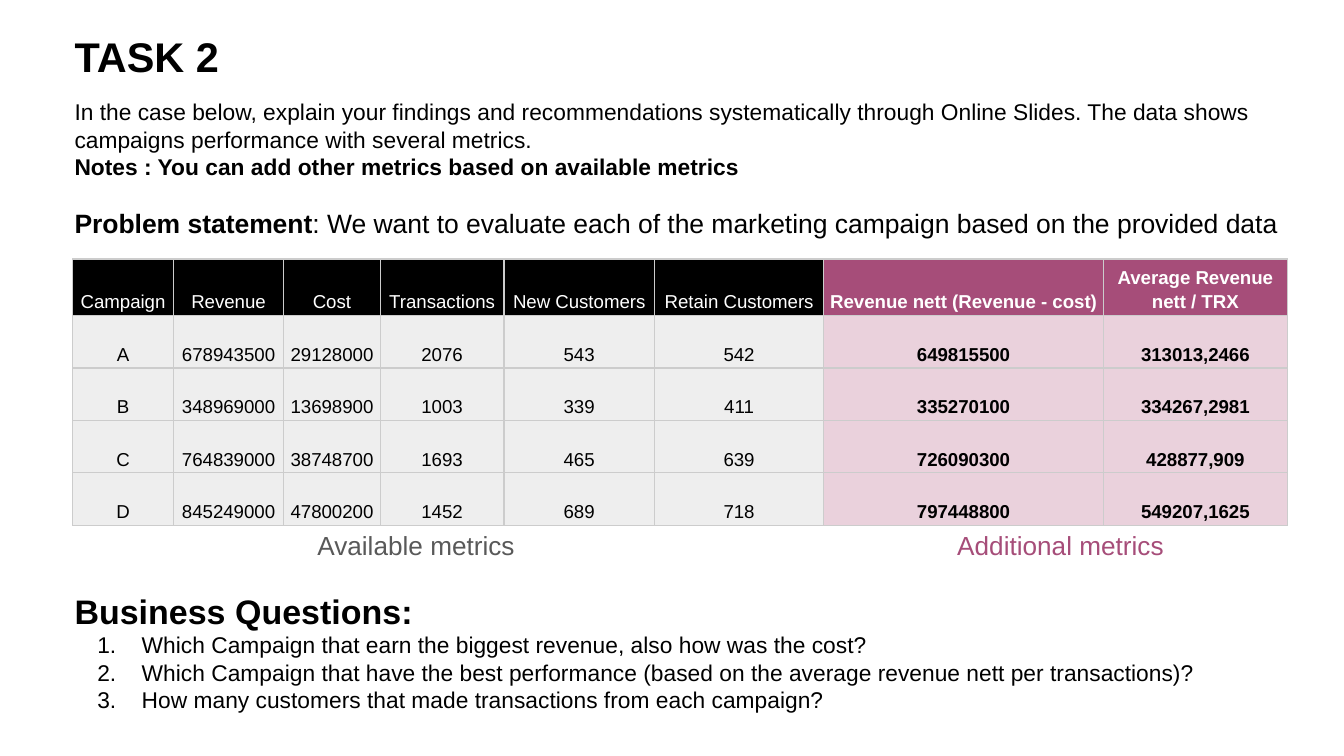
"""Build the TASK 2 slide: campaign metrics table with its questions."""
import dataclasses

import pptx
import pptx.dml.color
import pptx.enum.text
import pptx.oxml
import pptx.oxml.ns
import pptx.util
from lxml import etree


@dataclasses.dataclass(frozen=True)
class Theme:
    font: str = "Arial"
    ink: str = "000000"
    paper: str = "FFFFFF"
    muted: str = "595959"
    accent: str = "A64D79"
    accent_tint: str = "EAD1DC"
    cell: str = "EEEEEE"
    border: str = "CCCCCC"
    title: float = 22.2
    heading: float = 18.2
    statement: float = 14.2
    label: float = 14
    body: float = 12.2
    table: float = 10


THEME = Theme()
ALIGN = pptx.enum.text.PP_ALIGN
ANCHOR = pptx.enum.text.MSO_ANCHOR

TITLE = [[("TASK 2", True, THEME.title)]]
INTRO = [
    [("In the case below, explain your findings and recommendations systematically through "
      "Online Slides. The data shows campaigns performance with several metrics.",
      False, THEME.body)],
    [("Notes : You can add other metrics based on available metrics", True, THEME.body)],
]
STATEMENT = [[
    ("Problem statement", True, THEME.statement),
    (": We want to evaluate each of the marketing campaign based on the provided data",
     False, THEME.statement),
]]
QUESTIONS = [
    "Which Campaign that earn the biggest revenue, also how was the cost?",
    "Which Campaign that have the best performance "
    "(based on the average revenue nett per transactions)?",
    "How many customers that made transactions from each campaign?",
]
QUESTION_BLOCK = [[("Business Questions:", True, THEME.heading)]] + [
    [(question, False, THEME.body)] for question in QUESTIONS
]

AVAILABLE_COUNT = 6
COLUMN_SHARES = [7.5, 8.2, 7.2, 9.2, 11.2, 12.6, 20.8, 13.7]
ROW_SHARES = [7.47, 6.94, 6.94, 6.94, 6.94]
METRICS = [
    ["Campaign", "Revenue", "Cost", "Transactions", "New Customers", "Retain Customers",
     "Revenue nett (Revenue - cost)", "Average Revenue nett / TRX"],
    ["A", "678943500", "29128000", "2076", "543", "542", "649815500", "313013,2466"],
    ["B", "348969000", "13698900", "1003", "339", "411", "335270100", "334267,2981"],
    ["C", "764839000", "38748700", "1693", "465", "639", "726090300", "428877,909"],
    ["D", "845249000", "47800200", "1452", "689", "718", "797448800", "549207,1625"],
]

TITLE_AREA = (4.56, 2.31, 93.2, 10.31)
TEXT_AREAS = [
    ((4.56, 11.2, 93.2, 16.18), INTRO, THEME.ink),
    ((4.56, 25.6, 93.2, 10.31), STATEMENT, THEME.ink),
    ((22.63, 68.27, 26.6, 9.24), [[("Available metrics", False, THEME.label)]], THEME.muted),
    ((70.24, 68.27, 26.6, 9.24), [[("Additional metrics", False, THEME.label)]], THEME.accent),
]
QUESTION_AREA = (4.56, 76.33, 86.2, 22.04)
TABLE_AREA = (5.4, 34.26, sum(COLUMN_SHARES), sum(ROW_SHARES))

presentation = pptx.Presentation()
presentation.slide_width = pptx.util.Inches(10)
presentation.slide_height = presentation.slide_width * 9 // 16


def across(share):
    return round(presentation.slide_width * share / 100)


def down(share):
    return round(presentation.slide_height * share / 100)


def place(area):
    left, top, width, height = area
    return across(left), down(top), across(width), down(height)


def style_run(run, size, color, bold):
    run.font.name = THEME.font
    run.font.size = pptx.util.Pt(size)
    run.font.bold = bold
    run.font.color.rgb = pptx.dml.color.RGBColor.from_string(color)


def fill_text(shape, paragraphs, color):
    frame = shape.text_frame
    frame.word_wrap = True
    frame.auto_size = pptx.enum.text.MSO_AUTO_SIZE.NONE
    frame.vertical_anchor = ANCHOR.TOP
    for side in ("left", "right", "top", "bottom"):
        setattr(frame, f"margin_{side}", pptx.util.Inches(0.1))
    for index, pieces in enumerate(paragraphs):
        paragraph = frame.paragraphs[0] if index == 0 else frame.add_paragraph()
        paragraph.alignment = ALIGN.LEFT
        for text, bold, size in pieces:
            run = paragraph.add_run()
            run.text = text
            style_run(run, size, color, bold)


def add_text(slide, area, paragraphs, color):
    shape = slide.shapes.add_textbox(*place(area))
    fill_text(shape, paragraphs, color)
    return shape


def number_paragraph(paragraph):
    properties = paragraph._p.get_or_add_pPr()
    properties.set("marL", str(pptx.util.Inches(0.5)))
    properties.set("indent", str(pptx.util.Inches(-0.33)))
    bullet = etree.SubElement(properties, pptx.oxml.ns.qn("a:buAutoNum"))
    bullet.set("type", "arabicPeriod")


def add_borders(cell):
    properties = cell._tc.get_or_add_tcPr()
    for side in ("lnL", "lnR", "lnT", "lnB"):
        properties.append(pptx.oxml.parse_xml(
            f'<a:{side} {pptx.oxml.ns.nsdecls("a")} w="{pptx.util.Pt(0.75)}">'
            f'<a:solidFill><a:srgbClr val="{THEME.border}"/></a:solidFill></a:{side}>'))


def style_cell(cell, text, is_header, is_additional):
    add_borders(cell)
    if is_header:
        background = THEME.accent if is_additional else THEME.ink
    else:
        background = THEME.accent_tint if is_additional else THEME.cell
    cell.fill.solid()
    cell.fill.fore_color.rgb = pptx.dml.color.RGBColor.from_string(background)
    cell.margin_left = cell.margin_right = pptx.util.Inches(0.03)
    cell.margin_top = cell.margin_bottom = pptx.util.Inches(0.02)
    cell.vertical_anchor = ANCHOR.BOTTOM
    cell.text_frame.text = text
    paragraph = cell.text_frame.paragraphs[0]
    paragraph.alignment = ALIGN.CENTER
    paragraph.line_spacing = 1.15
    color = THEME.paper if is_header else THEME.ink
    style_run(paragraph.runs[0], THEME.table, color, is_additional)


def add_metrics_table(slide):
    table = slide.shapes.add_table(len(METRICS), len(COLUMN_SHARES), *place(TABLE_AREA)).table
    for column, share in zip(table.columns, COLUMN_SHARES):
        column.width = across(share)
    for row, share in zip(table.rows, ROW_SHARES):
        row.height = down(share)
    for row_index, values in enumerate(METRICS):
        for column_index, value in enumerate(values):
            style_cell(table.cell(row_index, column_index), value,
                       row_index == 0, column_index >= AVAILABLE_COUNT)


def main():
    slide = presentation.slides.add_slide(presentation.slide_layouts[5])
    title = slide.shapes.title
    title.left, title.top, title.width, title.height = place(TITLE_AREA)
    fill_text(title, TITLE, THEME.ink)
    add_metrics_table(slide)
    for area, paragraphs, color in TEXT_AREAS:
        add_text(slide, area, paragraphs, color)
    questions = add_text(slide, QUESTION_AREA, QUESTION_BLOCK, THEME.ink)
    for paragraph in questions.text_frame.paragraphs[1:]:
        number_paragraph(paragraph)
    presentation.save("out.pptx")


if __name__ == "__main__":
    main()
